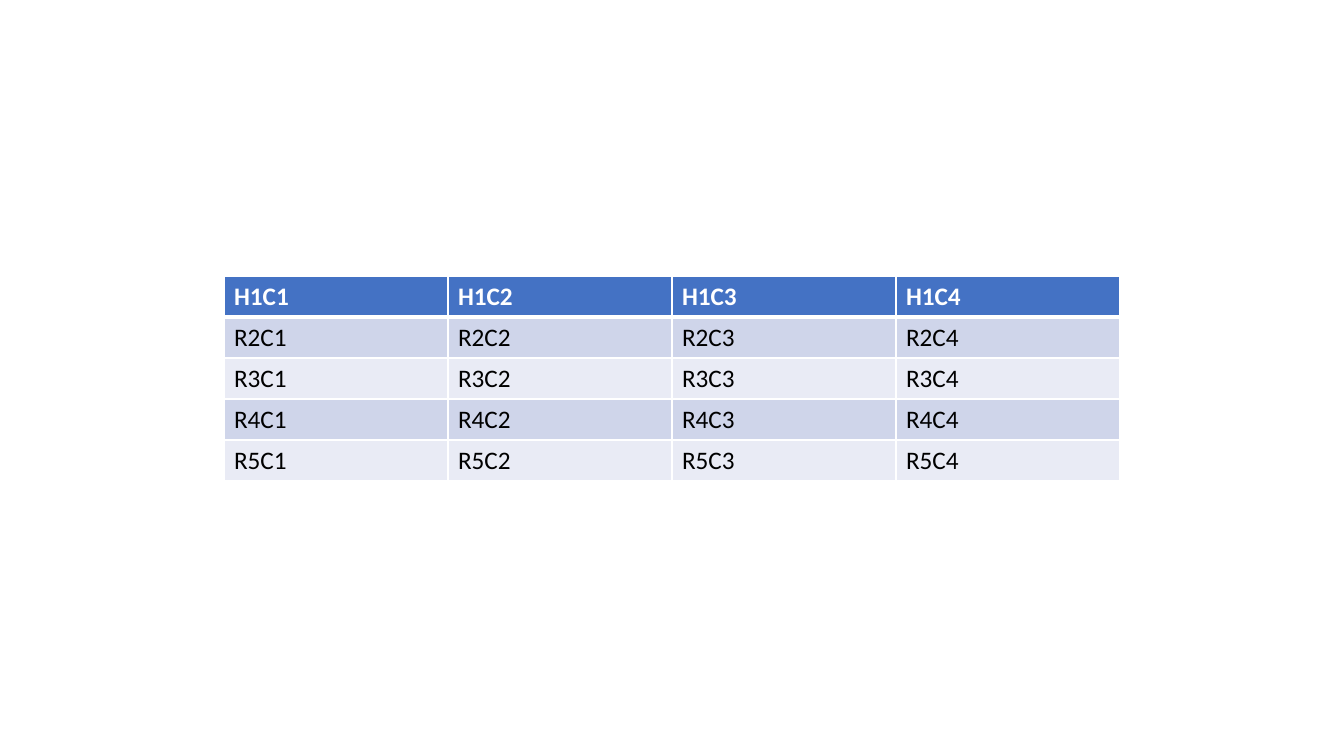
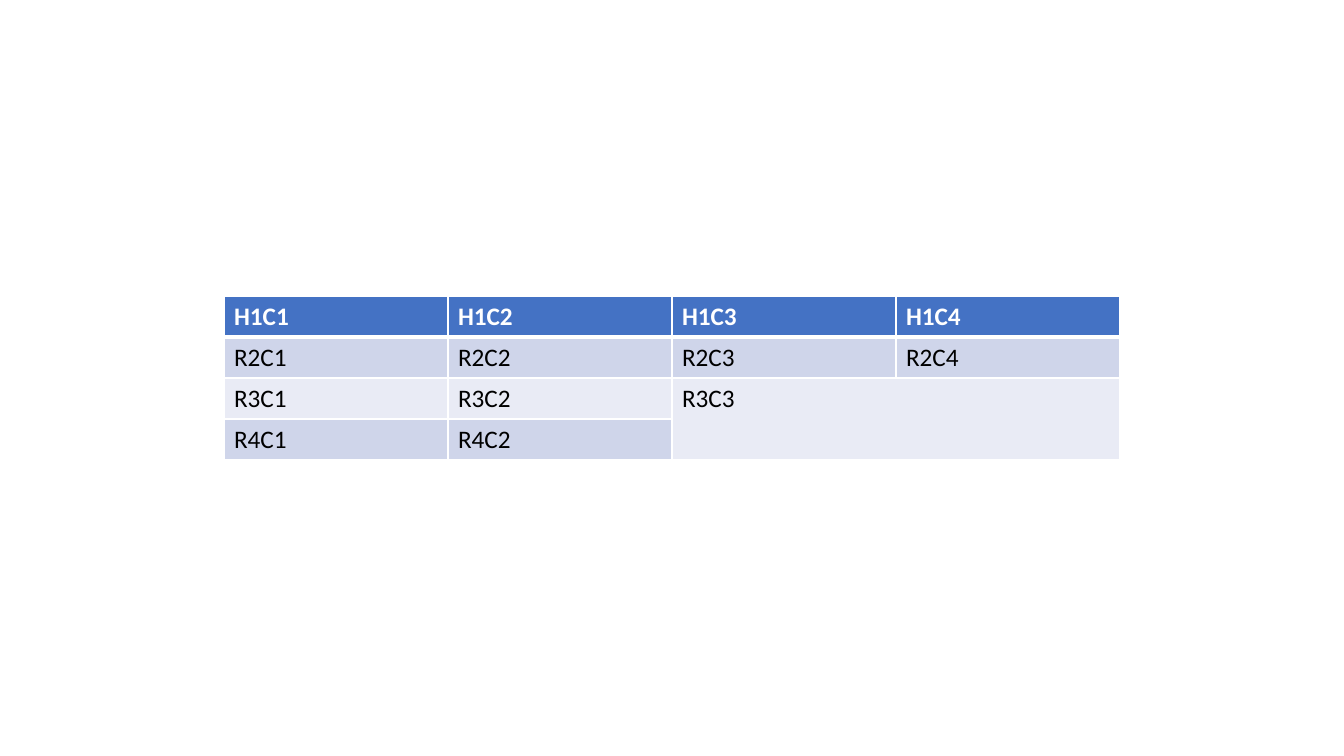
from lxml import etree
from pptx import Presentation
from pptx.dml.color import RGBColor
from pptx.oxml.ns import qn
from pptx.util import Emu, Pt

SLIDE_W, SLIDE_H = 1344, 756
COLUMN_W, ROW_H = 224, 41
COLUMNS = 4

WHITE, BLACK = "FFFFFF", "000000"
HEADER_FILL = "4472C4"
BAND_FILLS = ["E9EBF5", "CFD5EA"]
THIN, THICK = Pt(1), Pt(3)

# Row count and merged block (first cell, last cell) of each slide's table
TABLES = [
    (5, None),
    (4, ((2, 2), (3, 3))),
]


def px(length):
    return Emu(round(length * 914400 / 100.8))


def add_border(cell, side, width):
    line = etree.SubElement(cell._tc.get_or_add_tcPr(), qn(f"a:ln{side}"), w=str(width))
    fill = etree.SubElement(line, qn("a:solidFill"))
    etree.SubElement(fill, qn("a:srgbClr"), val=WHITE)


prs = Presentation()
prs.slide_width, prs.slide_height = px(SLIDE_W), px(SLIDE_H)

for row_count, merged in TABLES:
    slide = prs.slides.add_slide(prs.slide_layouts[6])
    width, height = COLUMNS * COLUMN_W, row_count * ROW_H
    left, top = (SLIDE_W - width) // 2, (SLIDE_H - height + 1) // 2
    table = slide.shapes.add_table(
        row_count, COLUMNS, px(left), px(top), px(width), px(height)
    ).table
    if merged:
        first, last = merged
        table.cell(*first).merge(table.cell(*last))

    for row in range(row_count):
        is_header = row == 0
        for column in range(COLUMNS):
            cell = table.cell(row, column)
            if cell.is_spanned:
                continue
            add_border(cell, "L", THIN)
            add_border(cell, "R", THIN)
            add_border(cell, "T", THICK if row == 1 else THIN)
            add_border(cell, "B", THICK if is_header else THIN)
            cell.fill.solid()
            cell.fill.fore_color.rgb = RGBColor.from_string(
                HEADER_FILL if is_header else BAND_FILLS[row % 2]
            )
            cell.text = f"{'H' if is_header else 'R'}{row + 1}C{column + 1}"
            font = cell.text_frame.paragraphs[0].font
            font.name, font.size, font.bold = "Calibri", Pt(18), is_header
            font.color.rgb = RGBColor.from_string(WHITE if is_header else BLACK)

prs.save("out.pptx")
